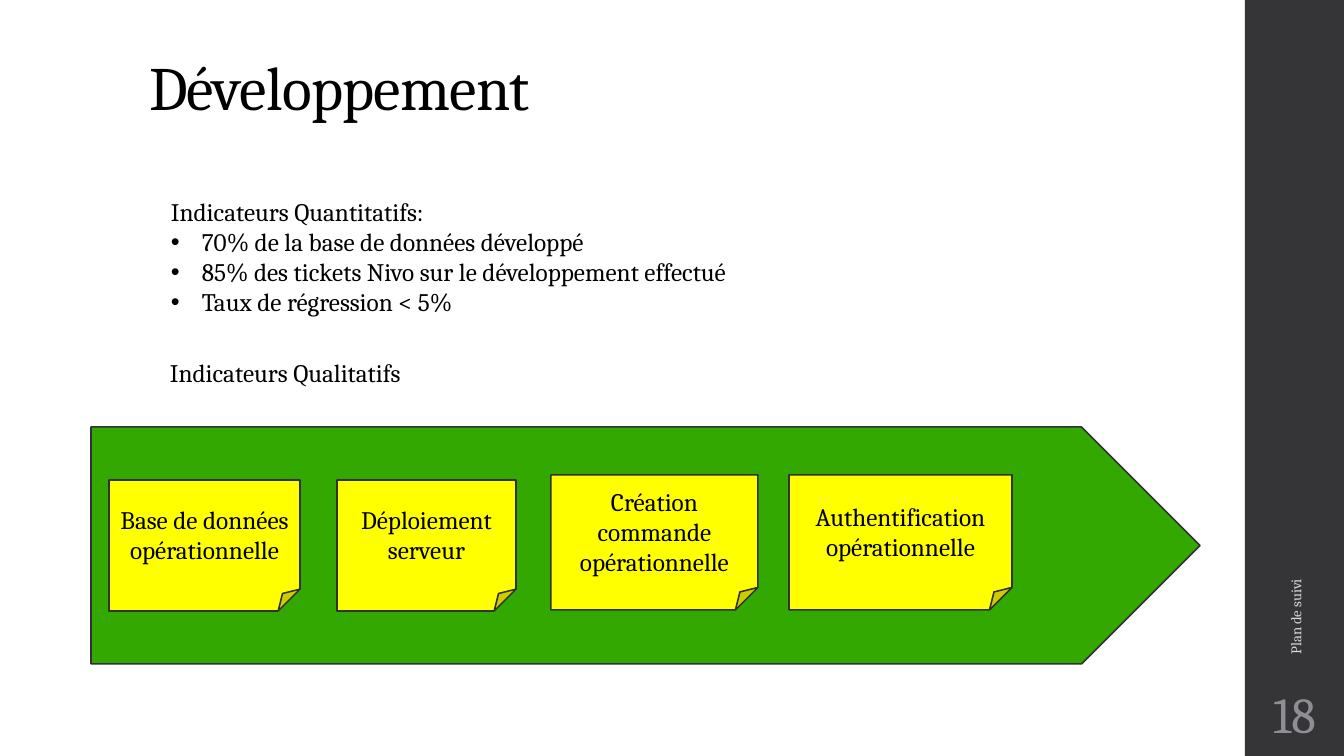
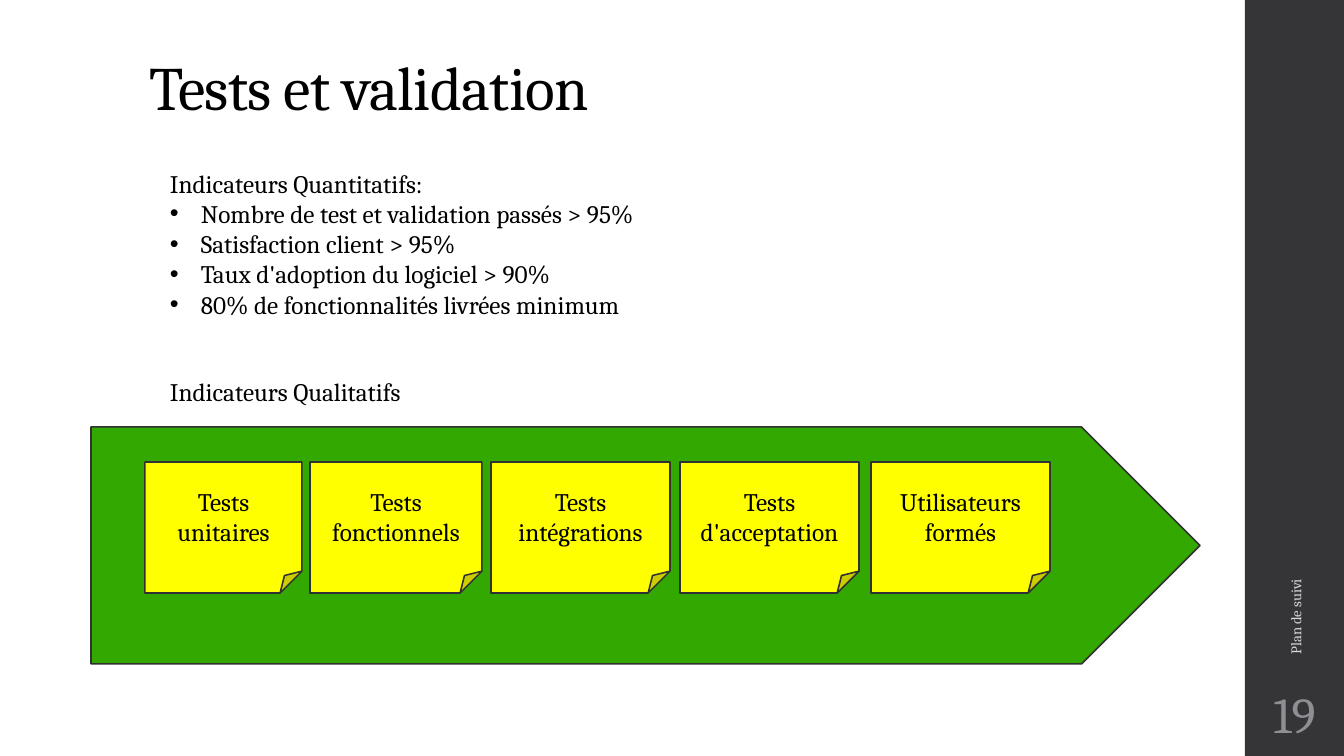
from lxml import etree
from pptx import Presentation
from pptx.dml.color import RGBColor
from pptx.enum import shapes, text
from pptx.oxml.ns import qn
from pptx.util import Emu, Pt

SCALE = 914400 / 100.8
FONT = "Cambria"
BLACK = RGBColor(0x00, 0x00, 0x00)
CHARCOAL = RGBColor(0x35, 0x35, 0x37)
OUTLINE = RGBColor(0x31, 0x31, 0x33)
GREEN = RGBColor(0x32, 0xA8, 0x00)
YELLOW = RGBColor(0xFF, 0xFF, 0x00)
GRAY = RGBColor(0x8E, 0x8E, 0x94)
PALE = RGBColor(0xD9, 0xD9, 0xDB)
LEFT, CENTER = text.PP_ALIGN.LEFT, text.PP_ALIGN.CENTER
MIDDLE = text.MSO_ANCHOR.MIDDLE
SHAPE = shapes.MSO_SHAPE


def px(n):
    return Emu(round(n * SCALE))


class Deck:
    def __init__(self):
        self.prs = Presentation()
        self.prs.slide_width, self.prs.slide_height = px(1344), px(756)
        self.slide = None

    def set_text(self, sp, lines, size=18, color=BLACK, align=LEFT, anchor=text.MSO_ANCHOR.TOP):
        tf = sp.text_frame
        tf.word_wrap = True
        tf.vertical_anchor = anchor
        tf.text = "\n".join(lines)
        for p in tf.paragraphs:
            p.alignment = align
            for r in p.runs:
                r.font.name, r.font.size = FONT, Pt(size)
                r.font.color.rgb = color
        return tf

    def shape(self, kind, x, y, w, h, fill, line=None):
        sp = self.slide.shapes.add_shape(kind, px(x), px(y), px(w), px(h))
        sp.shadow.inherit = False
        sp.fill.solid()
        sp.fill.fore_color.rgb = fill
        if line is None:
            sp.line.fill.background()
        else:
            sp.line.color.rgb = line
            sp.line.width = Pt(1.1)
        return sp

    def textbox(self, x, y, w, h, lines, **style):
        sp = self.slide.shapes.add_textbox(px(x), px(y), px(w), px(h))
        self.set_text(sp, lines, **style)
        return sp

    def title(self, words):
        sp = self.slide.shapes.title
        sp.left, sp.top, sp.width, sp.height = px(139), px(40), px(1068), px(89)
        tf = self.set_text(sp, [words], size=44, anchor=text.MSO_ANCHOR.BOTTOM)
        tf.auto_size = text.MSO_AUTO_SIZE.NONE
        p = tf.paragraphs[0]
        p.line_spacing = 0.9
        p.runs[0]._r.get_or_add_rPr().set("spc", "-50")

    def sidebar(self, number):
        self.shape(SHAPE.RECTANGLE, 1245, 0, 99, 756, CHARCOAL)
        sp = self.textbox(1245, 680, 99, 66, [str(number)], size=36,
                          color=GRAY, align=CENTER, anchor=MIDDLE)
        tf = sp.text_frame
        tf.margin_left = tf.margin_right = px(5)
        footer = self.textbox(1098, 447, 395, 40, ["Plan de suivi"],
                              size=10.5, color=PALE, anchor=MIDDLE)
        footer.rotation = 270

    def start(self, words, number):
        self.slide = self.prs.slides.add_slide(self.prs.slide_layouts[5])
        self.sidebar(number)
        self.title(words)
        self.shape(SHAPE.PENTAGON, 91, 427, 1109, 237, GREEN, OUTLINE)

    def indicators(self, x, y, h, items):
        sp = self.textbox(x, y, 920, h, ["Indicateurs Quantitatifs:"] + items)
        for p in sp.text_frame.paragraphs[1:]:
            pPr = p._p.get_or_add_pPr()
            pPr.set("marL", str(px(31)))
            pPr.set("indent", str(-px(31)))
            etree.SubElement(pPr, qn("a:buFont")).set("typeface", "Arial")
            etree.SubElement(pPr, qn("a:buChar")).set("char", "•")

    def qualitative(self, y):
        self.textbox(160, y, 512, 40, ["Indicateurs Qualitatifs"])

    def note(self, x, y, w, h, words):
        sp = self.shape(SHAPE.FOLDED_CORNER, x, y, w, h, YELLOW, OUTLINE)
        self.set_text(sp, [words], align=CENTER, anchor=MIDDLE)


deck = Deck()

deck.start("Développement", 18)
deck.indicators(161, 191, 132, [
    "70% de la base de données développé",
    "85% des tickets Nivo sur le développement effectué",
    "Taux de régression < 5%",
])
deck.qualitative(352)
for x, y, w, h, words in [
    (109, 480, 191, 131, "Base de données opérationnelle"),
    (337, 480, 179, 131, "Déploiement serveur"),
    (551, 475, 207, 135, "Création commande opérationnelle"),
    (789, 475, 223, 135, "Authentification opérationnelle"),
]:
    deck.note(x, y, w, h, words)

deck.start("Tests et validation", 19)
deck.indicators(160, 163, 194, [
    "Nombre de test et validation passés > 95%",
    "Satisfaction client > 95%",
    "Taux d'adoption du logiciel > 90%",
    "80% de fonctionnalités livrées minimum",
])
deck.qualitative(371)
for x, w, words in [
    (145, 157, "Tests unitaires"),
    (310, 172, "Tests fonctionnels"),
    (491, 179, "Tests intégrations"),
    (680, 179, "Tests d'acceptation"),
    (871, 179, "Utilisateurs formés"),
]:
    deck.note(x, 462, w, 131, words)

deck.prs.save("out.pptx")
